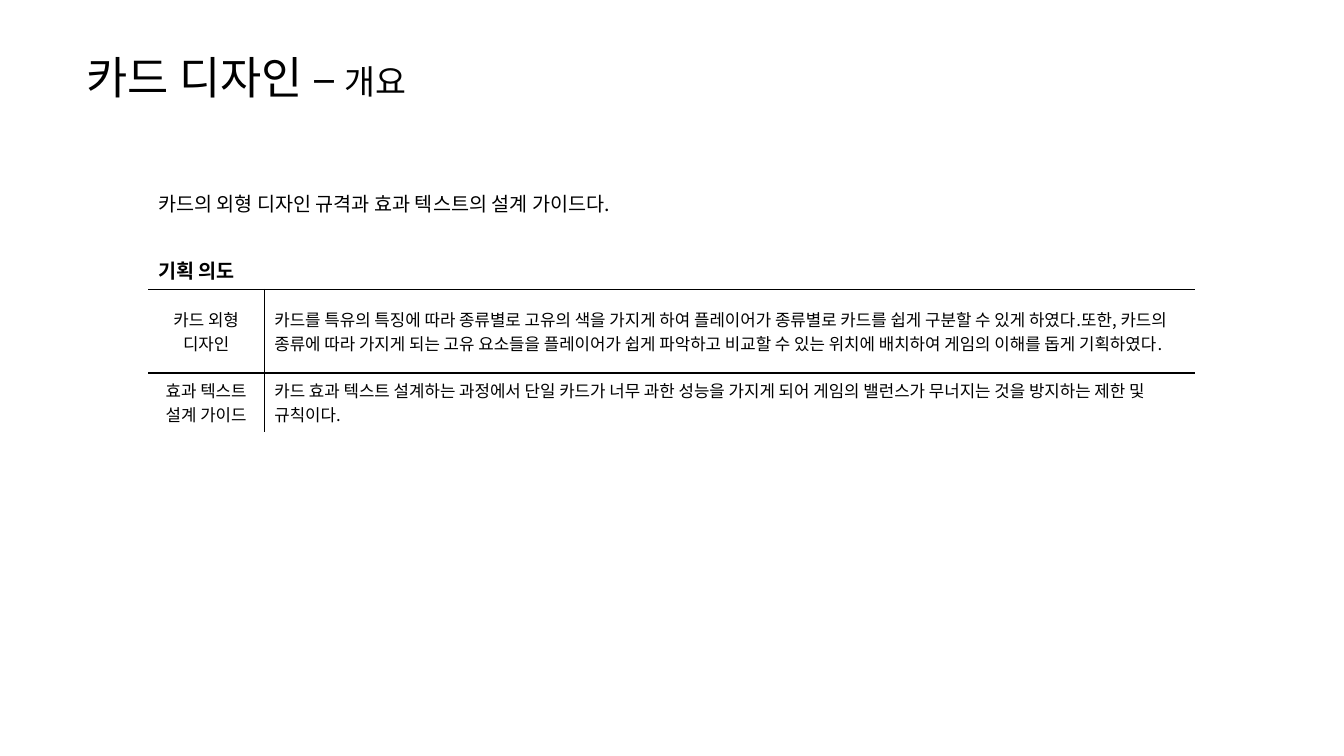
from lxml.etree import SubElement
from pptx import Presentation
from pptx.dml.color import RGBColor
from pptx.enum.text import MSO_ANCHOR, MSO_AUTO_SIZE, PP_ALIGN
from pptx.oxml.ns import qn
from pptx.util import Pt

FONT = "Noto Sans CJK KR"
BLACK = "000000"
NO_STYLE = "{2D5ABB26-0587-4C30-8999-92F81FD0307C}"
ROW_HEIGHTS = (27.5, 48.2, 59.6, 42.1)
LABEL_WIDTH = 83

SUMMARY = "카드의 외형 디자인 규격과 효과 텍스트의 설계 가이드다."
HEADING = "기획 의도"
INTENTS = (
    ("카드 외형\n디자인",
     "카드를 특유의 특징에 따라 종류별로 고유의 색을 가지게 하여 플레이어가 종류별로 "
     "카드를 쉽게 구분할 수 있게 하였다.또한, 카드의 종류에 따라 가지게 되는 고유 요소들을 "
     "플레이어가 쉽게 파악하고 비교할 수 있는 위치에 배치하여 게임의 이해를 돕게 기획하였다."),
    ("효과 텍스트\n설계 가이드",
     "카드 효과 텍스트 설계하는 과정에서 단일 카드가 너무 과한 성능을 가지게 되어 "
     "게임의 밸런스가 무너지는 것을 방지하는 제한 및 규칙이다."),
)


def color(value):
    return RGBColor.from_string(value)


def style_paragraph(paragraph, size, bold=False, align=PP_ALIGN.LEFT):
    paragraph.alignment = align
    font = paragraph.font
    font.name = FONT
    font.size = Pt(size)
    font.bold = bold
    font.color.rgb = color(BLACK)
    defaults = paragraph._p.get_or_add_pPr().get_or_add_defRPr()
    SubElement(defaults, qn("a:ea"), typeface=FONT)


def draw_borders(cell, sides):
    properties = cell._tc.get_or_add_tcPr()
    for side in "LRTB":
        if side in sides:
            border = SubElement(properties, qn(f"a:ln{side}"), w=str(Pt(1)))
            fill = SubElement(border, qn("a:solidFill"))
            SubElement(fill, qn("a:srgbClr"), val=BLACK)


def fill_cell(cell, text, size, borders="", anchor=MSO_ANCHOR.MIDDLE, **style):
    draw_borders(cell, borders)
    cell.fill.background()
    cell.vertical_anchor = anchor
    cell.text_frame.text = text
    for paragraph in cell.text_frame.paragraphs:
        style_paragraph(paragraph, size, **style)


def add_title(slide, left, top, width, height):
    title = slide.shapes.title
    title.left, title.top = Pt(left), Pt(top)
    title.width, title.height = Pt(width), Pt(height)
    frame = title.text_frame
    frame.auto_size = MSO_AUTO_SIZE.NONE
    frame.vertical_anchor = MSO_ANCHOR.MIDDLE
    paragraph = frame.paragraphs[0]
    for text, size in (("카드 디자인 –", 32), (" 개요", 24)):
        run = paragraph.add_run()
        run.text = text
        run.font.size = Pt(size)
    style_paragraph(paragraph, 32)


def add_overview(slide, left, top, width):
    frame = slide.shapes.add_table(
        len(ROW_HEIGHTS), 2, Pt(left), Pt(top), Pt(width), Pt(sum(ROW_HEIGHTS)))
    table = frame.table
    table.first_row = table.horz_banding = False
    table._tbl.tblPr.find(qn("a:tableStyleId")).text = NO_STYLE
    for column, column_width in zip(table.columns, (LABEL_WIDTH, width - LABEL_WIDTH)):
        column.width = Pt(column_width)
    for row, height in zip(table.rows, ROW_HEIGHTS):
        row.height = Pt(height)

    for row in range(2):
        table.cell(row, 0).merge(table.cell(row, 1))
    fill_cell(table.cell(0, 0), SUMMARY, 14, anchor=MSO_ANCHOR.TOP)
    fill_cell(table.cell(1, 0), HEADING, 14, "B", MSO_ANCHOR.BOTTOM, bold=True)
    draw_borders(table.cell(1, 1), "B")

    for row, (label, intent) in enumerate(INTENTS, start=2):
        edges = "TB" if row < len(ROW_HEIGHTS) - 1 else "T"
        fill_cell(table.cell(row, 0), label, 12, edges + "R", align=PP_ALIGN.CENTER)
        fill_cell(table.cell(row, 1), intent, 12, edges + "L")


def main():
    presentation = Presentation()
    presentation.slide_width, presentation.slide_height = Pt(960), Pt(540)
    slide = presentation.slides.add_slide(presentation.slide_layouts[5])
    add_title(slide, 54.7, 30.2, 850, 49.7)
    add_overview(slide, 105.8, 131, 748)
    presentation.save("out.pptx")


if __name__ == "__main__":
    main()
